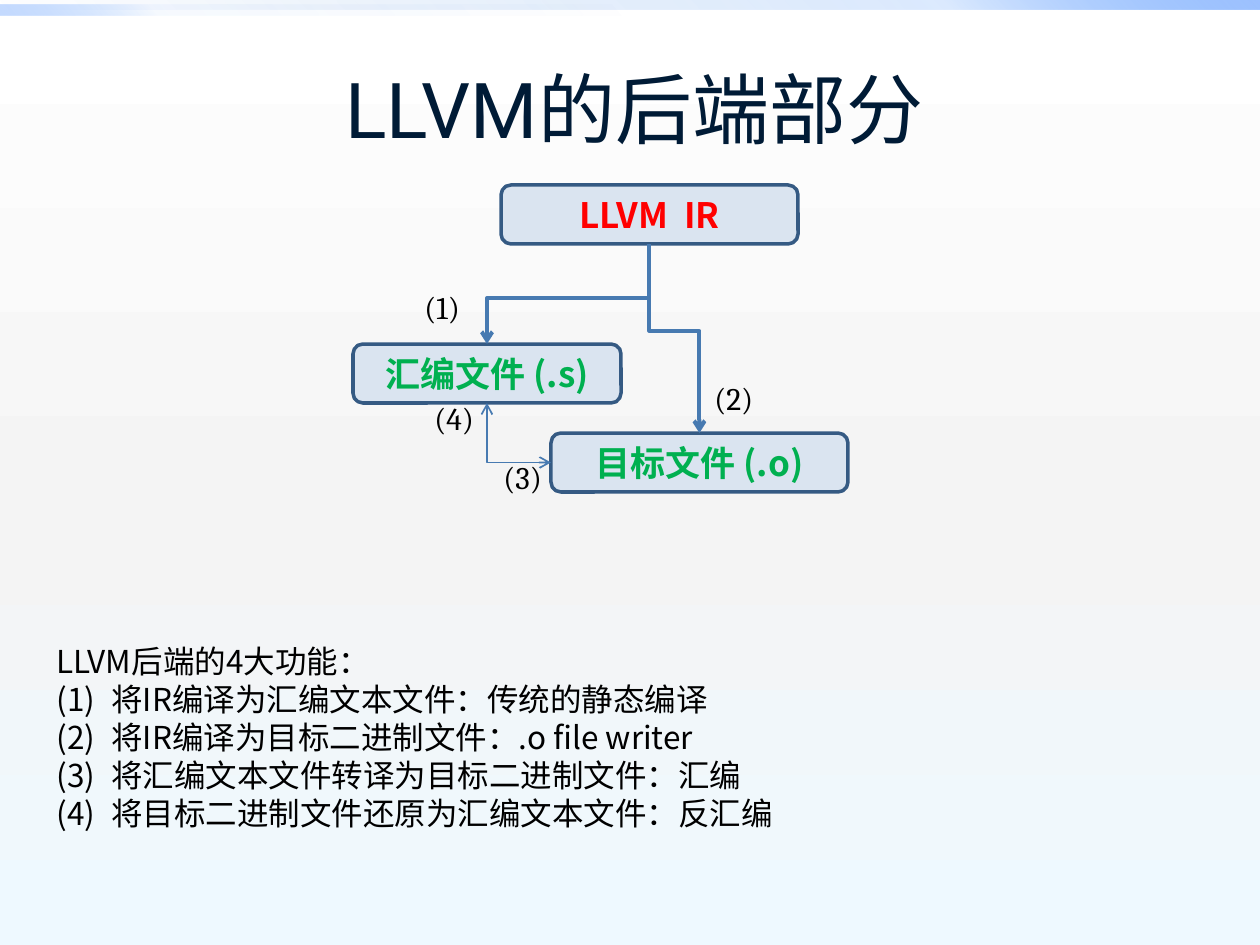
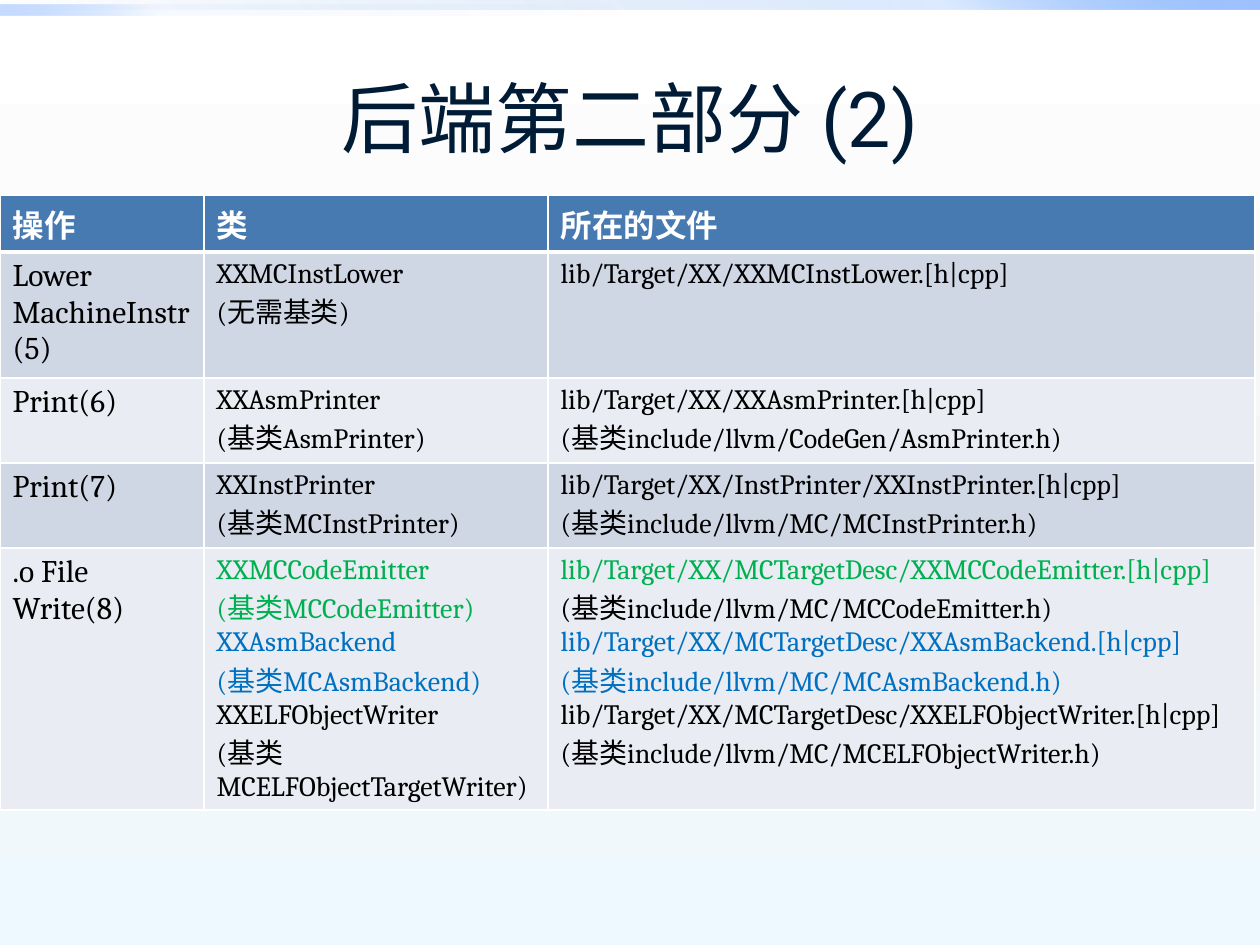
from pptx import Presentation
from pptx.dml.color import RGBColor
from pptx.enum.shapes import MSO_CONNECTOR, MSO_SHAPE
from pptx.enum.text import MSO_ANCHOR, PP_ALIGN
from pptx.oxml import parse_xml
from pptx.oxml.ns import nsdecls, qn
from pptx.util import Emu, Pt

PX_PER_INCH = 126
C = {
    "title": "001B36", "black": "000000", "white": "FFFFFF",
    "red": "FF0000", "green": "00B050", "blue": "0070C0",
    "box": "DAE4F0", "box_line": "355A83", "accent": "477AB1",
    "odd": "CFD7E4", "even": "E9ECF2",
    "paper_mid": "F4F4F4", "paper_low": "EEF9FF",
    "band_deep": "0058B7", "band_mid": "4F95FF", "band_light": "9EC2FF",
}
HEAD, SANS, SERIF = "Roboto", "Noto Sans CJK SC", "Cambria"
PAPER = [(0, "white", 100), (55, "paper_mid", 100), (100, "paper_low", 100)]
BANDS = [
    ((0, 0, 1260, 10), 315,
     [(0, "band_deep", 0), (75, "band_mid", 20), (100, "band_light", 100)]),
    ((0, 5, 630, 10), 135,
     [(0, "band_deep", 0), (75, "band_mid", 5), (100, "band_light", 60)]),
]
FUNCTIONS = [
    "LLVM后端的4大功能：",
    " 将IR编译为汇编文本文件：传统的静态编译",
    " 将IR编译为目标二进制文件：.o file writer",
    " 将汇编文本文件转译为目标二进制文件：汇编",
    " 将目标二进制文件还原为汇编文本文件：反汇编",
]
STEP_LABELS = [("(1)", 412, 282), ("(2)", 702, 373),
               ("(4)", 422, 393), ("(3)", 491, 452)]
COLUMNS = [204, 344, 707]
ROW_HEIGHTS = [57, 122, 85, 85, 262]
CLASSES = [
    [["操作"], ["类"], ["所在的文件"]],
    [["Lower", "MachineInstr(5)"],
     ["XXMCInstLower", "(无需基类)"],
     ["lib/Target/XX/XXMCInstLower.[h|cpp]"]],
    [["Print(6)"],
     ["XXAsmPrinter", "(基类AsmPrinter)"],
     ["lib/Target/XX/XXAsmPrinter.[h|cpp]",
      "(基类include/llvm/CodeGen/AsmPrinter.h)"]],
    [["Print(7)"],
     ["XXInstPrinter", "(基类MCInstPrinter)"],
     ["lib/Target/XX/InstPrinter/XXInstPrinter.[h|cpp]",
      "(基类include/llvm/MC/MCInstPrinter.h)"]],
    [[".o File Write(8)"],
     ["XXMCCodeEmitter", "(基类MCCodeEmitter)",
      "XXAsmBackend", "(基类MCAsmBackend)",
      "XXELFObjectWriter", "(基类\nMCELFObjectTargetWriter)"],
     ["lib/Target/XX/MCTargetDesc/XXMCCodeEmitter.[h|cpp]",
      "(基类include/llvm/MC/MCCodeEmitter.h)",
      "lib/Target/XX/MCTargetDesc/XXAsmBackend.[h|cpp]",
      "(基类include/llvm/MC/MCAsmBackend.h)",
      "lib/Target/XX/MCTargetDesc/XXELFObjectWriter.[h|cpp]",
      "(基类include/llvm/MC/MCELFObjectWriter.h)"]],
]
LINE_COLOURS = {
    (4, 1): ["green", "green", "blue", "blue", "black", "black"],
    (4, 2): ["green", "black", "blue", "blue", "black", "black"],
}


def px(n):
    return Emu(round(n * 914400 / PX_PER_INCH))


def rgb(key):
    return RGBColor.from_string(C[key])


def style_runs(p, font, size, colour, bold=False):
    for r in p.runs:
        r.font.name = font
        r.font.size = Pt(size)
        r.font.bold = bold
        r.font.color.rgb = rgb(colour)


def paint_gradient(element, stops, angle):
    gs = "".join(
        f'<a:gs pos="{pos * 1000}"><a:srgbClr val="{C[key]}">'
        f'<a:alpha val="{alpha * 1000}"/></a:srgbClr></a:gs>'
        for pos, key, alpha in stops)
    solid = next(element.iter(qn("a:solidFill")))
    solid.getparent().replace(solid, parse_xml(
        f'<a:gradFill {nsdecls("a")} rotWithShape="1"><a:gsLst>{gs}</a:gsLst>'
        f'<a:lin ang="{angle * 60000}" scaled="0"/></a:gradFill>'))


def add_block(s, kind, at, fill):
    sp = s.shapes.add_shape(kind, *map(px, at))
    sp.shadow.inherit = False
    sp.fill.solid()
    sp.fill.fore_color.rgb = rgb(fill)
    sp.line.fill.background()
    return sp


def add_text(s, at, text, wrap=True):
    sp = s.shapes.add_textbox(*map(px, at))
    tf = sp.text_frame
    tf.word_wrap = wrap
    tf.text = text
    return tf


def add_base(prs, title, title_at):
    s = prs.slides.add_slide(prs.slide_layouts[6])
    s.background.fill.solid()
    s.background.fill.fore_color.rgb = rgb("white")
    paint_gradient(s._element, PAPER, 90)
    for at, angle, stops in BANDS:
        sp = add_block(s, MSO_SHAPE.RECTANGLE, at, "band_light")
        paint_gradient(sp._element, stops, angle)
    tf = add_text(s, title_at, title)
    tf.vertical_anchor = MSO_ANCHOR.MIDDLE
    p = tf.paragraphs[0]
    p.alignment = PP_ALIGN.CENTER
    style_runs(p, HEAD, 44, "title")
    return s


def add_node(s, text, left, top, width, colour):
    sp = add_block(s, MSO_SHAPE.ROUNDED_RECTANGLE, (left, top, width, 59), "box")
    sp.line.color.rgb = rgb("box_line")
    sp.line.width = Pt(2)
    tf = sp.text_frame
    tf.text = text
    tf.vertical_anchor = MSO_ANCHOR.MIDDLE
    p = tf.paragraphs[0]
    p.alignment = PP_ALIGN.CENTER
    style_runs(p, SANS, 20, colour, True)
    return sp


def add_elbow(s, source, target, side, width, bend=None, heads=("tailEnd",)):
    c = s.shapes.add_connector(MSO_CONNECTOR.ELBOW, 0, 0, 0, 0)
    c.begin_connect(source, 2)
    c.end_connect(target, side)
    dx, dy = c.end_x - c.begin_x, c.end_y - c.begin_y
    mid_x, mid_y = (c.begin_x + c.end_x) // 2, (c.begin_y + c.end_y) // 2
    xfrm = c._element.spPr.find(qn("a:xfrm"))
    xfrm.attrib.clear()
    xfrm.set("rot", str((270 if dx > 0 else 90) * 60000))
    if dx > 0:
        xfrm.set("flipH", "1")
    c.width, c.height = Emu(dy), Emu(abs(dx))
    c.left, c.top = Emu(mid_x - dy // 2), Emu(mid_y - abs(dx) // 2)
    geom = c._element.spPr.find(qn("a:prstGeom"))
    if bend is None:
        geom.set("prst", "bentConnector2")
    else:
        geom.find(qn("a:avLst")).append(parse_xml(
            f'<a:gd {nsdecls("a")} name="adj1" fmla="val {bend * 1000}"/>'))
    c.line.color.rgb = rgb("accent")
    c.line.width = Pt(width)
    for head in heads:
        c.line._get_or_add_ln().append(
            parse_xml(f'<a:{head} {nsdecls("a")} type="arrow"/>'))
    c._element.spPr.append(parse_xml(f'<a:effectLst {nsdecls("a")}/>'))


def add_function_list(s):
    tf = add_text(s, (44, 636, 883, 204), "\n".join(FUNCTIONS))
    for i, p in enumerate(tf.paragraphs):
        p.line_spacing = Pt(21.7)
        style_runs(p, SANS, 18, "black")
        if i:
            pPr = p._p.get_or_add_pPr()
            pPr.set("marL", str(px(48)))
            pPr.set("indent", str(-px(48)))
            pPr.append(parse_xml(
                f'<a:buAutoNum {nsdecls("a")} type="arabicParenBoth"/>'))


def set_borders(cell, top, bottom):
    tcPr = cell._tc.get_or_add_tcPr()
    for side, width in (("L", 1), ("R", 1), ("T", top), ("B", bottom)):
        tcPr.append(parse_xml(
            f'<a:ln{side} {nsdecls("a")} w="{Pt(width)}"><a:solidFill>'
            f'<a:srgbClr val="{C["white"]}"/></a:solidFill></a:ln{side}>'))


def fill_cell(cell, row, col, lines):
    header = row == 0
    set_borders(cell, 3 if row == 1 else 1, 3 if header else 1)
    cell.fill.solid()
    cell.fill.fore_color.rgb = rgb(
        "accent" if header else "odd" if row % 2 else "even")
    default = ["white" if header else "black"] * len(lines)
    colours = LINE_COLOURS.get((row, col), default)
    size = 18 if header or col == 0 else 16
    tf = cell.text_frame
    for i, (line, colour) in enumerate(zip(lines, colours)):
        p = tf.add_paragraph() if i else tf.paragraphs[0]
        p.text = line
        style_runs(p, SERIF, size, colour, header)


def add_class_table(s):
    frame = s.shapes.add_table(
        len(CLASSES), len(COLUMNS),
        *map(px, (0, 195, sum(COLUMNS), sum(ROW_HEIGHTS))))
    table = frame.table
    table.horz_banding = False
    for column, width in zip(table.columns, COLUMNS):
        column.width = px(width)
    for row, height in zip(table.rows, ROW_HEIGHTS):
        row.height = px(height)
    for i, row in enumerate(CLASSES):
        for j, lines in enumerate(row):
            fill_cell(table.cell(i, j), i, j, lines)


def build_backend_slide(prs):
    s = add_base(prs, "LLVM的后端部分", (29, 20, 1211, 175))
    asm = add_node(s, "汇编文件 (.s)", 353, 344, 268, "green")
    obj = add_node(s, "目标文件 (.o)", 551, 433, 297, "green")
    ir = add_node(s, "LLVM  IR", 501, 185, 297, "red")
    add_elbow(s, ir, asm, 0, 2.25, 54)
    add_elbow(s, ir, obj, 0, 2.25, 46)
    add_elbow(s, asm, obj, 1, 1, heads=("headEnd", "tailEnd"))
    for text, left, top in STEP_LABELS:
        tf = add_text(s, (left, top, 68, 50), text, wrap=False)
        style_runs(tf.paragraphs[0], SERIF, 18, "black")
    add_function_list(s)


def build_class_slide(prs):
    s = add_base(prs, "后端第二部分 (2)", (63, 38, 1134, 157))
    add_class_table(s)


def main():
    prs = Presentation()
    prs.slide_width, prs.slide_height = px(1260), px(945)
    build_backend_slide(prs)
    build_class_slide(prs)
    prs.save("out.pptx")


if __name__ == "__main__":
    main()
